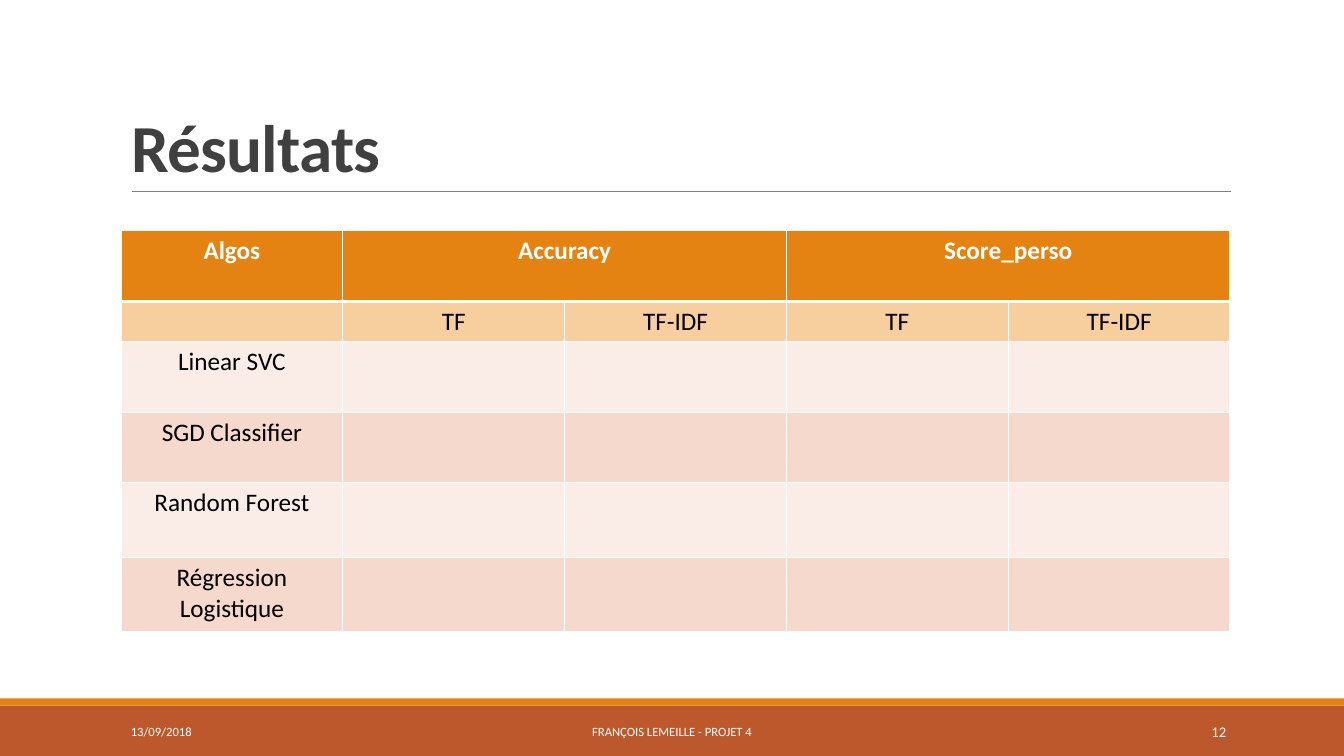
from dataclasses import dataclass

from lxml.etree import SubElement
from pptx import Presentation
from pptx.dml.color import RGBColor
from pptx.enum.shapes import MSO_CONNECTOR, MSO_SHAPE
from pptx.enum.text import MSO_ANCHOR, MSO_AUTO_SIZE, PP_ALIGN
from pptx.oxml.ns import qn
from pptx.slide import Slide
from pptx.table import _Cell
from pptx.text.text import _Paragraph
from pptx.util import Inches, Pt


@dataclass(frozen=True)
class Theme:
    font: str = "Calibri"
    white: str = "FFFFFF"
    black: str = "000000"
    title: str = "404040"
    rule: str = "808080"
    rust: str = "BD582C"
    orange: str = "E48312"
    subheader: str = "F7CE9D"
    bands: tuple[str, str] = ("FAEDE7", "F5D9CC")
    title_size: float = 48
    table_size: float = 18
    footer_size: float = 9
    number_size: float = 10.5


@dataclass(frozen=True)
class Band:
    top: float
    height: float
    color: str


@dataclass(frozen=True)
class FooterItem:
    text: str
    left: float
    width: float
    align: PP_ALIGN
    size: float


@dataclass(frozen=True)
class TableRow:
    labels: tuple[str, ...]
    height: float
    fill: str
    color: str = "000000"
    bold: bool = False


THEME = Theme()
SLIDE_WIDTH, SLIDE_HEIGHT = 13.33, 7.5
MARGIN, CONTENT_WIDTH = 1.2, 11
COLUMNS = 5
TABLE_TOP = 2.29

BANDS = (Band(7, 0.5, THEME.rust), Band(6.93, 0.07, THEME.orange))
FOOTER = (
    FooterItem("13/09/2018", 1.2, 2.7, PP_ALIGN.LEFT, THEME.footer_size),
    FooterItem("FRANÇOIS LEMEILLE - PROJET 4", 4.03, 5.27, PP_ALIGN.CENTER, THEME.footer_size),
    FooterItem("12", 10.83, 1.43, PP_ALIGN.RIGHT, THEME.number_size),
)
ALGORITHMS = (
    ("Linear SVC", 0.7),
    ("SGD Classifier", 0.7),
    ("Random Forest", 0.74),
    ("Régression Logistique", 0.74),
)
ROWS = (
    TableRow(("Algos", "Accuracy", "", "Score_perso", ""), 0.7, THEME.orange, THEME.white, True),
    TableRow(("", "TF", "TF-IDF", "TF", "TF-IDF"), 0.4, THEME.subheader),
    *(
        TableRow((name,) + ("",) * (COLUMNS - 1), height, THEME.bands[i % 2])
        for i, (name, height) in enumerate(ALGORITHMS)
    ),
)


def rgb(color: str) -> RGBColor:
    return RGBColor.from_string(color)


def add_run(paragraph: _Paragraph, text: str, size: float, color: str, bold: bool = False):
    run = paragraph.add_run()
    run.text = text
    run.font.name = THEME.font
    run.font.size = Pt(size)
    run.font.bold = bold
    run.font.color.rgb = rgb(color)
    return run


def add_band(slide: Slide, band: Band) -> None:
    shape = slide.shapes.add_shape(
        MSO_SHAPE.RECTANGLE, 0, Inches(band.top), Inches(SLIDE_WIDTH), Inches(band.height)
    )
    shape.shadow.inherit = False
    shape.fill.solid()
    shape.fill.fore_color.rgb = rgb(band.color)
    shape.line.fill.background()


def add_title_rule(slide: Slide) -> None:
    rule = slide.shapes.add_connector(
        MSO_CONNECTOR.STRAIGHT, Inches(1.31), Inches(1.9), Inches(12.21), Inches(1.9)
    )
    rule.line.color.rgb = rgb(THEME.rule)
    rule.line.width = Pt(0.5)
    SubElement(rule._element.spPr, qn("a:effectLst"))


def set_title(slide: Slide, text: str) -> None:
    title = slide.shapes.title
    title.left, title.top = Inches(MARGIN), Inches(0.31)
    title.width, title.height = Inches(CONTENT_WIDTH), Inches(1.59)
    frame = title.text_frame
    frame.auto_size = MSO_AUTO_SIZE.NONE
    frame.vertical_anchor = MSO_ANCHOR.BOTTOM
    paragraph = frame.paragraphs[0]
    paragraph.alignment = PP_ALIGN.LEFT
    paragraph.line_spacing = 0.85
    run = add_run(paragraph, text, THEME.title_size, THEME.title, bold=True)
    run.font._element.set("spc", "-50")


def add_footer_item(slide: Slide, item: FooterItem) -> None:
    box = slide.shapes.add_textbox(
        Inches(item.left), Inches(7.06), Inches(item.width), Inches(0.4)
    )
    frame = box.text_frame
    frame.word_wrap = True
    frame.vertical_anchor = MSO_ANCHOR.MIDDLE
    frame.paragraphs[0].alignment = item.align
    add_run(frame.paragraphs[0], item.text, item.size, THEME.white)


def set_borders(cell: _Cell, top: float, bottom: float) -> None:
    """Draw white borders; top and bottom are widths in points."""
    properties = cell._tc.get_or_add_tcPr()
    for side, width in (("L", 1), ("R", 1), ("T", top), ("B", bottom)):
        line = SubElement(properties, qn(f"a:ln{side}"), w=str(Pt(width)))
        fill = SubElement(line, qn("a:solidFill"))
        SubElement(fill, qn("a:srgbClr"), val=THEME.white)


def add_results_table(slide: Slide) -> None:
    table = slide.shapes.add_table(
        len(ROWS), COLUMNS, Inches(MARGIN), Inches(TABLE_TOP),
        Inches(CONTENT_WIDTH), Inches(sum(row.height for row in ROWS)),
    ).table
    for column in table.columns:
        column.width = Inches(CONTENT_WIDTH / COLUMNS)
    for r, row in enumerate(ROWS):
        table.rows[r].height = Inches(row.height)
        for c, label in enumerate(row.labels):
            cell = table.cell(r, c)
            set_borders(cell, top=3 if r == 1 else 1, bottom=3 if r == 0 else 1)
            cell.fill.solid()
            cell.fill.fore_color.rgb = rgb(row.fill)
            paragraph = cell.text_frame.paragraphs[0]
            paragraph.alignment = PP_ALIGN.CENTER
            if label:
                add_run(paragraph, label, THEME.table_size, row.color, row.bold)
    for first in (1, 3):
        table.cell(0, first).merge(table.cell(0, first + 1))


def main() -> None:
    presentation = Presentation()
    presentation.slide_width = Inches(SLIDE_WIDTH)
    presentation.slide_height = Inches(SLIDE_HEIGHT)
    title_only = presentation.slide_layouts[5]
    slide = presentation.slides.add_slide(title_only)
    for band in BANDS:
        add_band(slide, band)
    add_title_rule(slide)
    set_title(slide, "Résultats")
    for item in FOOTER:
        add_footer_item(slide, item)
    add_results_table(slide)
    presentation.save("out.pptx")


if __name__ == "__main__":
    main()
